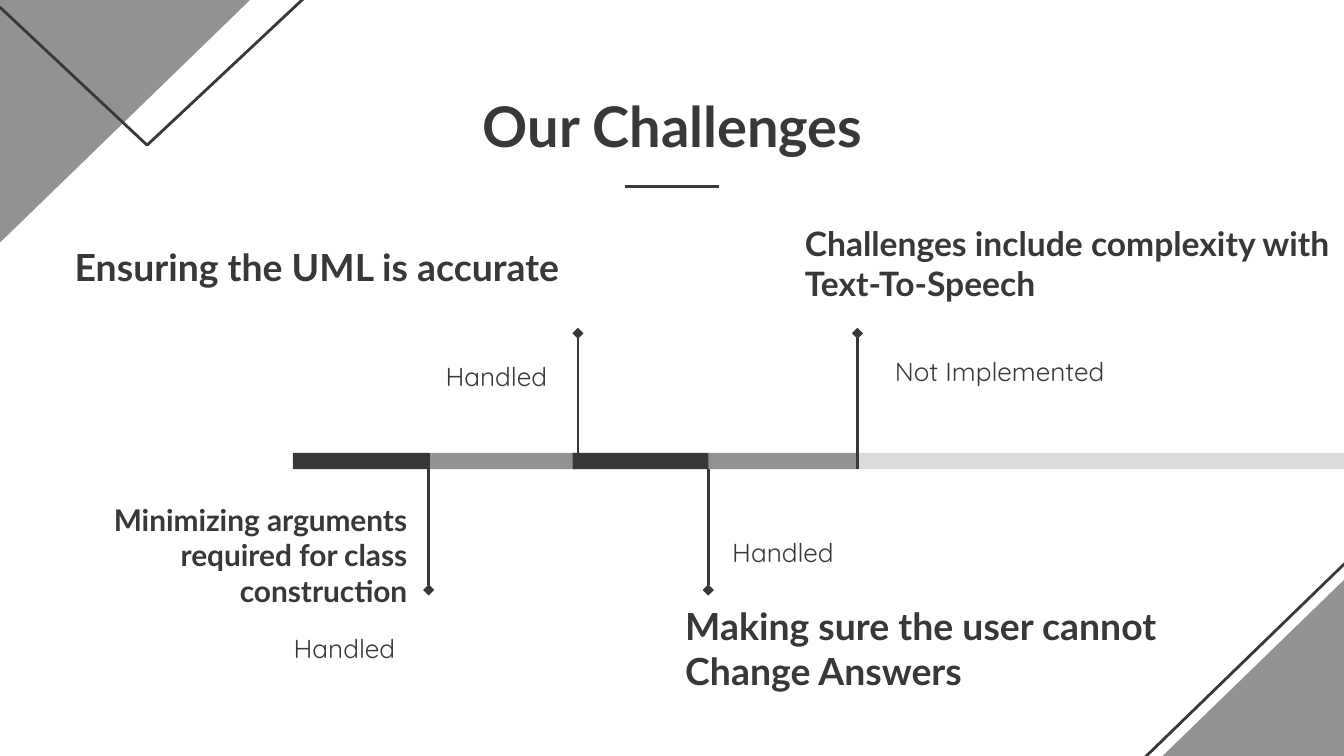
from pptx import Presentation
from pptx.dml.color import RGBColor
from pptx.enum import shapes, text
from pptx.oxml.ns import qn
from pptx.util import Inches, Pt
from lxml import etree

DARK, GREY, PALE, WHITE = "383838", "929292", "DBDBDB", "FFFFFF"
LEFT, MID, RIGHT = text.PP_ALIGN.LEFT, text.PP_ALIGN.CENTER, text.PP_ALIGN.RIGHT
RT = shapes.MSO_SHAPE.RIGHT_TRIANGLE
TRI = shapes.MSO_SHAPE.ISOSCELES_TRIANGLE
RECT = shapes.MSO_SHAPE.RECTANGLE

# kind, box, turn, fill, line
CORNERS = [
    (RT, (7.68, 2.84, 3.72, 3.61), 0, None, DARK),
    (RT, (7.8, 2.84, 3.72, 3.61), 0, GREY, None),
    (RT, (-0.83, -1, 3.72, 3.61), 180, GREY, None),
    (TRI, (-1.84, -1.67, 5.87, 2.75), 180, None, DARK),
]

BAR_TOP, BAR_HIGH = 3.37, 0.12
PIN_UP, PIN_DOWN = 2.48, 4.39
# Back to front: bars as (left, width, colour), pins as (x, tip)
TRACK = [
    (2.18, 1.01, DARK),
    (3.19, 1.11, GREY),
    (6.38, 4.25, PALE),
    (3.19, PIN_DOWN),
    (4.3, PIN_UP),
    (4.26, 1.01, DARK),
    (5.27, PIN_DOWN),
    (5.27, 1.11, GREY),
    (6.38, PIN_UP),
]

# words, box, size, alignment
HEADS = [
    ("Our Challenges", (0.98, 0.58, 8.05, 0.58), 30, MID),
    ("Minimizing arguments required for class construction",
     (0, 3.63, 3.13, 1.08), 16, RIGHT),
    ("Challenges include complexity with Text-To-Speech",
     (5.89, 1.56, 4.49, 1.08), 18, LEFT),
    ("Ensuring the UML is accurate", (-0.23, 1.72, 4.49, 0.75), 20, RIGHT),
    ("Making sure the user cannot Change Answers",
     (5, 4.39, 4.49, 1.08), 20, LEFT),
]
# words, left, top, alignment
STATES = [
    ("Handled", 0.5, 4.57, RIGHT),
    ("Handled", 1.63, 2.55, RIGHT),
    ("Handled", 5.35, 3.86, LEFT),
    ("Not Implemented", 6.56, 2.51, LEFT),
]


def color(code):
    return RGBColor.from_string(code)


def add_form(kind, box, fill=None, line=None):
    form = slide.shapes.add_shape(kind, *map(Inches, box))
    form.shadow.inherit = False
    if fill:
        form.fill.solid()
        form.fill.fore_color.rgb = color(fill)
    else:
        form.fill.background()
    if line:
        form.line.color.rgb = color(line)
        form.line.width = Pt(1.5)
    else:
        form.line.fill.background()
    return form


def add_line(x1, y1, x2, y2, tip=False):
    """Draw a dark line, with a diamond at its end if tip is set."""
    line = slide.shapes.add_connector(
        shapes.MSO_CONNECTOR.STRAIGHT, *map(Inches, (x1, y1, x2, y2)))
    line.line.color.rgb = color(DARK)
    line.line.width = Pt(1.5)
    if tip:
        stroke = line.line._get_or_add_ln()
        etree.SubElement(stroke, qn("a:tailEnd"), type="diamond")
    etree.SubElement(line._element.spPr, qn("a:effectLst"))


def add_text(words, box, size, align, face, bold=False):
    frame = slide.shapes.add_textbox(*map(Inches, box)).text_frame
    frame.word_wrap = True
    frame.vertical_anchor = text.MSO_ANCHOR.TOP
    frame.margin_left = frame.margin_right = Inches(0.1)
    frame.margin_top = frame.margin_bottom = Inches(0.1)
    frame.text = words
    para = frame.paragraphs[0]
    para.alignment = align
    font = para.runs[0].font
    font.name, font.size, font.bold = face, Pt(size), bold
    font.color.rgb = color(DARK)
    return para


deck = Presentation()
deck.slide_width = Inches(10)
deck.slide_height = Inches(10 * 9 / 16)
slide = deck.slides.add_slide(deck.slide_layouts[6])
slide.background.fill.solid()
slide.background.fill.fore_color.rgb = color(WHITE)

for kind, box, turn, fill, line in CORNERS:
    form = add_form(kind, box, fill, line)
    form.rotation = turn
    form._element.spPr.xfrm.set("flipH", "1")

add_line(4.65, 1.39, 5.35, 1.39)

for part in TRACK:
    if len(part) == 3:
        left, wide, fill = part
        add_form(RECT, (left, BAR_TOP, wide, BAR_HIGH), fill)
    else:
        x, tip = part
        start = BAR_TOP + BAR_HIGH if tip == PIN_UP else BAR_TOP
        add_line(x, start, x, tip, tip=True)

for words, box, size, align in HEADS:
    add_text(words, box, size, align, "Lato", bold=True)

for words, left, top, align in STATES:
    para = add_text(words, (left, top, 2.54, 0.53), 14, align, "Quicksand")
    para.line_spacing = 1.15
    para.space_after = Pt(16)

deck.save("out.pptx")
